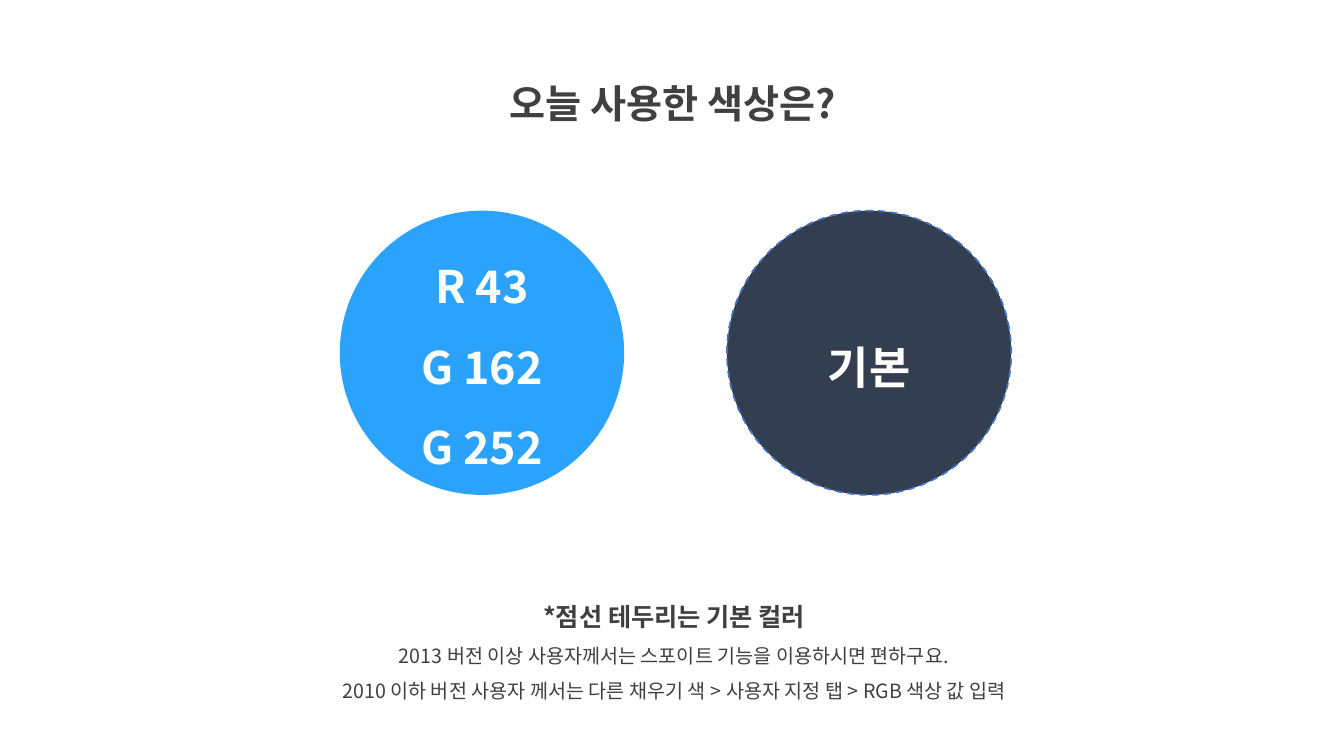
from dataclasses import dataclass

from lxml.etree import SubElement
from pptx import Presentation
from pptx.dml.color import RGBColor
from pptx.enum.dml import MSO_LINE as Dash
from pptx.enum.shapes import MSO_SHAPE as Shape
from pptx.enum.text import MSO_ANCHOR as Anchor, MSO_AUTO_SIZE as Fit, PP_ALIGN as Align
from pptx.oxml.ns import qn
from pptx.slide import Slide
from pptx.text.text import TextFrame
from pptx.util import Inches, Pt

FONT = "Noto Sans CJK KR"
COLORS = {"ink": "404040", "white": "FFFFFF", "blue": "2BA2FC",
          "navy": "333F50", "edge": "4472C4"}


@dataclass
class Line:
    text: str
    size: int
    bold: bool = True


@dataclass
class Disc:
    left: float
    fill: str
    lines: list[Line]
    dashed: bool = False


TITLE = Line("오늘 사용한 색상은?", 28)
NOTES = [
    Line("*점선 테두리는 기본 컬러", 18),
    Line("2013 버전 이상 사용자께서는 스포이트 기능을 이용하시면 편하구요.", 14, False),
    Line("2010 이하 버전 사용자 께서는 다른 채우기 색 > 사용자 지정 탭 > RGB 색상 값 입력", 14, False),
]
DISCS = [
    Disc(3.37, "blue", [Line(t, 32) for t in ("R 43", "G 162", "G 252")]),
    Disc(7.21, "navy", [Line("기본", 32)], dashed=True),
]
DISC_TOP, DISC_SIZE = 2.09, 2.82


def tint(name: str) -> RGBColor:
    """Return the named colour."""
    return RGBColor.from_string(COLORS[name])


def write(frame: TextFrame, lines: list[Line], color: str, anchor: Anchor) -> None:
    """Fill a frame with centred lines of text."""
    frame.word_wrap = True
    frame.vertical_anchor = anchor
    for i, line in enumerate(lines):
        para = frame.add_paragraph() if i else frame.paragraphs[0]
        para.alignment = Align.CENTER
        para.line_spacing = 1.5
        run = para.add_run()
        run.text = line.text
        font = run.font
        font.size, font.bold, font.name = Pt(line.size), line.bold, FONT
        font.color.rgb = tint(color)
        SubElement(run._r.get_or_add_rPr(), qn("a:ea"), typeface=FONT)


def add_title(slide: Slide) -> None:
    """Place the title at the top."""
    title = slide.shapes.title
    title.left, title.top = Inches(4.36), Inches(0.5)
    title.width, title.height = Inches(4.63), Inches(0.72)
    write(title.text_frame, [TITLE], "ink", Anchor.TOP)
    title.text_frame.auto_size = Fit.SHAPE_TO_FIT_TEXT


def add_notes(slide: Slide) -> None:
    """Place the hints below the discs."""
    box = slide.shapes.add_textbox(Inches(2.69), Inches(5.77), Inches(7.99), Inches(1.26))
    write(box.text_frame, NOTES, "ink", Anchor.TOP)
    box.text_frame.auto_size = Fit.SHAPE_TO_FIT_TEXT


def add_disc(slide: Slide, disc: Disc) -> None:
    """Draw one colour disc with its label."""
    oval = slide.shapes.add_shape(Shape.OVAL, Inches(disc.left), Inches(DISC_TOP),
                                  Inches(DISC_SIZE), Inches(DISC_SIZE))
    oval.shadow.inherit = False
    oval.fill.solid()
    oval.fill.fore_color.rgb = tint(disc.fill)
    if disc.dashed:
        oval.line.color.rgb = tint("edge")
        oval.line.width = Pt(1.25)
        oval.line.dash_style = Dash.DASH
    else:
        oval.line.fill.background()
    write(oval.text_frame, disc.lines, "white", Anchor.MIDDLE)


def main() -> None:
    """Build the slide and save it."""
    deck = Presentation()
    deck.slide_width, deck.slide_height = Inches(13.33), Inches(7.5)
    slide = deck.slides.add_slide(deck.slide_layouts[5])
    add_title(slide)
    add_notes(slide)
    for disc in DISCS:
        add_disc(slide, disc)
    deck.save("out.pptx")


if __name__ == "__main__":
    main()
